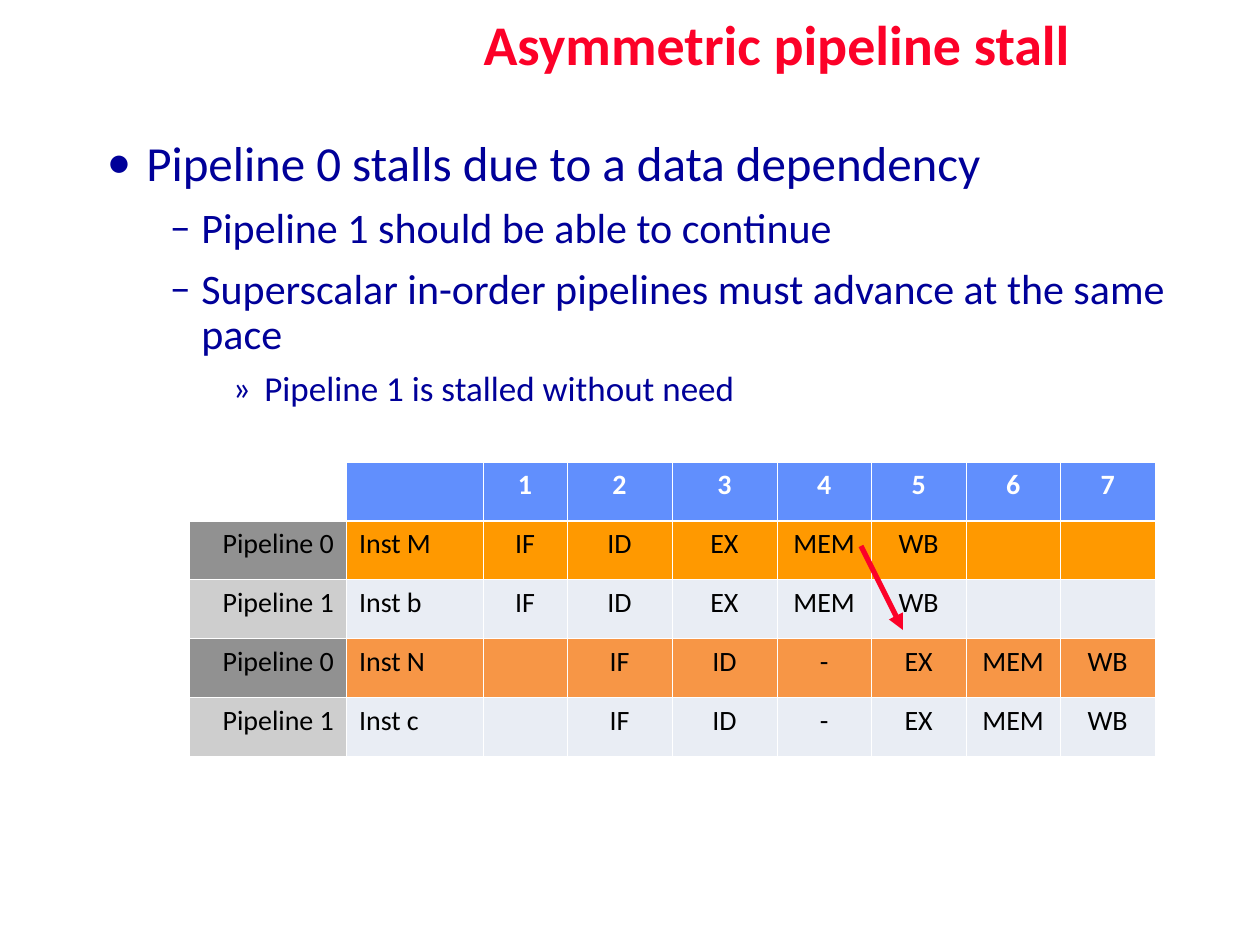
from lxml import etree
from pptx import Presentation
from pptx.dml.color import RGBColor
from pptx.enum import shapes, text
from pptx.oxml import ns
from pptx.util import Pt

FONT = "Calibri"
COLORS = {
    "red": "FC0128", "navy": "000099", "white": "FFFFFF", "black": "000000",
    "header": "618FFD", "dark_gray": "919191", "light_gray": "CECECE",
    "amber": "FF9900", "orange": "F79646", "pale": "E9EDF4",
}
ALIGN = text.PP_ALIGN

# Per level: font size, left indent, hanging indent, line spacing, space before, bullet
LEVELS = [
    (28, 22.5, 22.5, 1.0, 0, "•"),
    (24, 54, 18, 0.9, 9, "–"),
    (20, 90, 18, 0.9, 7.5, "»"),
]
BULLETS = [
    (0, "Pipeline 0 stalls due to a data dependency"),
    (1, "Pipeline 1 should be able to continue"),
    (1, "Superscalar in-order pipelines must advance at the same pace"),
    (2, "Pipeline 1 is stalled without need"),
]

COLUMN_WIDTHS = [90, 78, 48, 60, 60] + [54] * 4
ROW_HEIGHT = 33.6
# Per row: label fill, stage fill, cell texts
PIPELINE_ROWS = [
    ("white", "header", ["", "", "1", "2", "3", "4", "5", "6", "7"]),
    ("dark_gray", "amber", ["Pipeline 0", "Inst M", "IF", "ID", "EX", "MEM", "WB", "", ""]),
    ("light_gray", "pale", ["Pipeline 1", "Inst b", "IF", "ID", "EX", "MEM", "WB", "", ""]),
    ("dark_gray", "orange", ["Pipeline 0", "Inst N", "", "IF", "ID", "-", "EX", "MEM", "WB"]),
    ("light_gray", "pale", ["Pipeline 1", "Inst c", "", "IF", "ID", "-", "EX", "MEM", "WB"]),
]


def rgb(name):
    return RGBColor.from_string(COLORS[name])


def add_run(paragraph, words, size, color, bold=False):
    run = paragraph.add_run()
    run.text = words
    run.font.name = FONT
    run.font.size = Pt(size)
    run.font.bold = bold
    run.font.color.rgb = rgb(color)


def add_text_frame(slide, box, anchor):
    frame = slide.shapes.add_textbox(*map(Pt, box)).text_frame
    frame.word_wrap = True
    frame.vertical_anchor = anchor
    return frame


def add_title(slide, box):
    frame = add_text_frame(slide, box, text.MSO_ANCHOR.MIDDLE)
    paragraph = frame.paragraphs[0]
    paragraph.alignment = ALIGN.CENTER
    paragraph.line_spacing = 0.9
    add_run(paragraph, "Asymmetric pipeline stall", 32, "red", bold=True)


def set_bullet(paragraph, left, hanging, mark):
    properties = paragraph._p.get_or_add_pPr()
    properties.set("marL", str(Pt(left)))
    properties.set("indent", str(-Pt(hanging)))
    color = etree.SubElement(properties, ns.qn("a:buClr"))
    etree.SubElement(color, ns.qn("a:srgbClr"), val=COLORS["navy"])
    etree.SubElement(properties, ns.qn("a:buFont"), typeface=FONT)
    etree.SubElement(properties, ns.qn("a:buChar"), char=mark)


def add_bullets(slide, box):
    frame = add_text_frame(slide, box, text.MSO_ANCHOR.TOP)
    for index, (level, words) in enumerate(BULLETS):
        size, left, hanging, line_spacing, space_before, mark = LEVELS[level]
        paragraph = frame.add_paragraph() if index else frame.paragraphs[0]
        paragraph.level = level
        paragraph.line_spacing = line_spacing
        paragraph.space_before = Pt(space_before)
        set_bullet(paragraph, left, hanging, mark)
        add_run(paragraph, words, size, "navy")


def set_borders(cell, top, bottom):
    properties = cell._tc.get_or_add_tcPr()
    for side, width in (("L", 0.45), ("R", 0.45), ("T", top), ("B", bottom)):
        line = etree.SubElement(properties, ns.qn("a:ln" + side), w=str(Pt(width)))
        fill = etree.SubElement(line, ns.qn("a:solidFill"))
        etree.SubElement(fill, ns.qn("a:srgbClr"), val=COLORS["white"])


def add_pipeline_table(slide, left, top):
    frame = slide.shapes.add_table(
        len(PIPELINE_ROWS), len(COLUMN_WIDTHS), Pt(left), Pt(top),
        Pt(sum(COLUMN_WIDTHS)), Pt(ROW_HEIGHT * len(PIPELINE_ROWS)))
    table = frame.table
    table.horz_banding = False
    for column, width in zip(table.columns, COLUMN_WIDTHS):
        column.width = Pt(width)
    for r, (label_fill, stage_fill, words) in enumerate(PIPELINE_ROWS):
        table.rows[r].height = Pt(ROW_HEIGHT)
        for c, word in enumerate(words):
            cell = table.cell(r, c)
            # The rule below the header is heavier than the others
            set_borders(cell, 1.47 if r == 1 else 0.45, 1.47 if r == 0 else 0.45)
            cell.fill.solid()
            cell.fill.fore_color.rgb = rgb(stage_fill if c else label_fill)
            paragraph = cell.text_frame.paragraphs[0]
            paragraph.alignment = {0: ALIGN.RIGHT, 1: ALIGN.LEFT}.get(c, ALIGN.CENTER)
            if word:
                add_run(paragraph, word, 16, "black" if r else "white", bold=r == 0)


def add_dependency_arrow(slide, start, end):
    connector = slide.shapes.add_connector(
        shapes.MSO_CONNECTOR.STRAIGHT, *map(Pt, start + end))
    connector.line.color.rgb = rgb("red")
    connector.line.width = Pt(3)
    etree.SubElement(connector.line._get_or_add_ln(), ns.qn("a:tailEnd"), type="triangle")
    etree.SubElement(connector._element.spPr, ns.qn("a:effectLst"))


def main():
    presentation = Presentation()
    presentation.slide_width = Pt(720)
    presentation.slide_height = Pt(540)
    slide = presentation.slides.add_slide(presentation.slide_layouts[6])
    add_title(slide, (168, 0, 552, 54))
    add_bullets(slide, (54, 72, 636, 174))
    add_pipeline_table(slide, 108, 264)
    add_dependency_arrow(slide, (492, 312), (516, 360))
    presentation.save("out.pptx")


if __name__ == "__main__":
    main()
